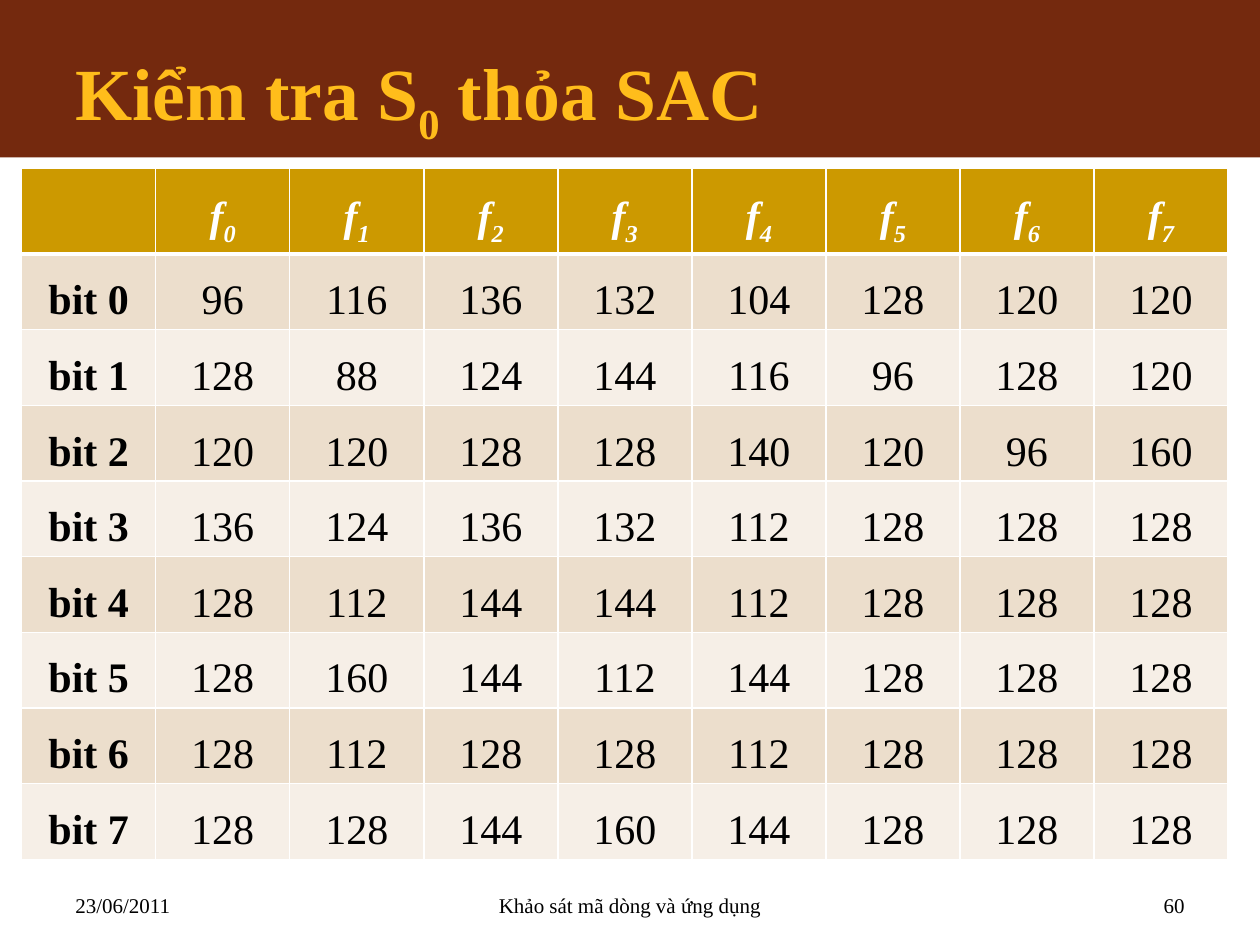
import pptx
import pptx.dml.color
import pptx.enum.shapes
import pptx.enum.text
import pptx.oxml
import pptx.oxml.ns
import pptx.util
import lxml.etree

Pt = pptx.util.Pt
ALIGN = pptx.enum.text.PP_ALIGN
ANCHOR = pptx.enum.text.MSO_ANCHOR
COLORS = {
    "banner": "74290E",
    "gold": "FFBD1B",
    "header": "CC9900",
    "odd_row": "ECDECC",
    "even_row": "F6EFE7",
    "white": "FFFFFF",
    "black": "000000",
}
BIT_COUNTS = [
    [96, 116, 136, 132, 104, 128, 120, 120],
    [128, 88, 124, 144, 116, 96, 128, 120],
    [120, 120, 128, 128, 140, 120, 96, 160],
    [136, 124, 136, 132, 112, 128, 128, 128],
    [128, 112, 144, 144, 112, 128, 128, 128],
    [128, 160, 144, 112, 144, 128, 128, 128],
    [128, 112, 128, 128, 112, 128, 128, 128],
    [128, 128, 144, 160, 144, 128, 128, 128],
]


class SlideBuilder:
    font_name = "Times New Roman"

    def __init__(self, slide):
        self.slide = slide

    def color(self, name):
        return pptx.dml.color.RGBColor.from_string(COLORS[name])

    def fill_paragraph(self, paragraph, parts, size, color, align=ALIGN.LEFT,
                       bold=False, italic=False):
        paragraph.alignment = align
        font = paragraph.font
        font.name, font.size = self.font_name, Pt(size)
        font.bold, font.italic = bold, italic
        font.color.rgb = self.color(color)
        for index, part in enumerate(parts):
            run = paragraph.add_run()
            run.text = part
            if index % 2:
                run.font._element.set("baseline", "-25000")

    def rectangle(self, left, top, width, height, color):
        shape = self.slide.shapes.add_shape(
            pptx.enum.shapes.MSO_SHAPE.RECTANGLE, Pt(left), Pt(top), Pt(width), Pt(height))
        shape.shadow.inherit = False
        shape.fill.solid()
        shape.fill.fore_color.rgb = self.color(color)
        shape.line.fill.background()

    def line(self, left, top, right, bottom, color, width):
        connector = self.slide.shapes.add_connector(
            pptx.enum.shapes.MSO_CONNECTOR.STRAIGHT, Pt(left), Pt(top), Pt(right), Pt(bottom))
        connector.line.color.rgb = self.color(color)
        connector.line.width = Pt(width)
        lxml.etree.SubElement(connector._element.spPr, pptx.oxml.ns.qn("a:effectLst"))

    def text(self, left, top, width, height, parts, size, color, anchor, **style):
        box = self.slide.shapes.add_textbox(Pt(left), Pt(top), Pt(width), Pt(height))
        box.text_frame.word_wrap = True
        box.text_frame.vertical_anchor = anchor
        self.fill_paragraph(box.text_frame.paragraphs[0], parts, size, color, **style)

    def border(self, cell, side, width):
        properties = cell._tc.get_or_add_tcPr()
        properties.append(pptx.oxml.parse_xml(
            f'<a:ln{side} {pptx.oxml.ns.nsdecls("a")} w="{Pt(width)}"><a:solidFill>'
            f'<a:srgbClr val="{COLORS["white"]}"/></a:solidFill></a:ln{side}>'))

    def cell(self, cell, row, column, parts):
        cell.margin_left = cell.margin_right = Pt(5.4)
        cell.margin_top = cell.margin_bottom = 0
        widths = {"L": 1, "R": 1, "T": 3 if row == 1 else 1, "B": 3 if row == 0 else 1}
        for side, width in widths.items():
            self.border(cell, side, width)
        header = row == 0
        fill = "header" if header else "odd_row" if row % 2 else "even_row"
        cell.fill.solid()
        cell.fill.fore_color.rgb = self.color(fill)
        paragraph = cell.text_frame.paragraphs[0]
        if parts:
            paragraph.line_spacing = 1.5
            paragraph.space_after = Pt(10)
        self.fill_paragraph(paragraph, parts, 24, "white" if header else "black", ALIGN.CENTER,
                            bold=header or column == 0, italic=header)

    def table(self, left, top, column_width, header_height, row_height, rows):
        row_count, column_count = len(rows), len(rows[0])
        frame = self.slide.shapes.add_table(
            row_count, column_count, Pt(left), Pt(top), Pt(column_width * column_count),
            Pt(header_height + row_height * (row_count - 1)))
        table = frame.table
        table.horz_banding = False
        for column in table.columns:
            column.width = Pt(column_width)
        for row, values in enumerate(rows):
            table.rows[row].height = Pt(row_height if row else header_height)
            for column, parts in enumerate(values):
                self.cell(table.cell(row, column), row, column, parts)


def main():
    presentation = pptx.Presentation()
    presentation.slide_width, presentation.slide_height = Pt(720), Pt(540)
    builder = SlideBuilder(presentation.slides.add_slide(presentation.slide_layouts[6]))

    builder.rectangle(0, 0, 720, 90, "banner")
    builder.line(36, 486, 684, 486, "gold", 1.5)
    builder.text(36, 21.6, 648, 68.4, ["Kiểm tra S", "0", " thỏa SAC"], 42, "gold",
                 ANCHOR.MIDDLE, bold=True)

    rows = [[[]] + [["f", str(index)] for index in range(8)]]
    for bit, counts in enumerate(BIT_COUNTS):
        rows.append([[f"bit {bit}"]] + [[str(count)] for count in counts])
    builder.table(12.4, 96, 76.62, 48, 42, rows)

    footers = [
        (36, 168, "23/06/2011", ALIGN.LEFT),
        (246, 228, "Khảo sát mã dòng và ứng dụng", ALIGN.CENTER),
        (516, 168, "60", ALIGN.RIGHT),
    ]
    for left, width, words, align in footers:
        builder.text(left, 492, width, 36, [words], 12, "black", ANCHOR.BOTTOM, align=align)

    presentation.save("out.pptx")


if __name__ == "__main__":
    main()
